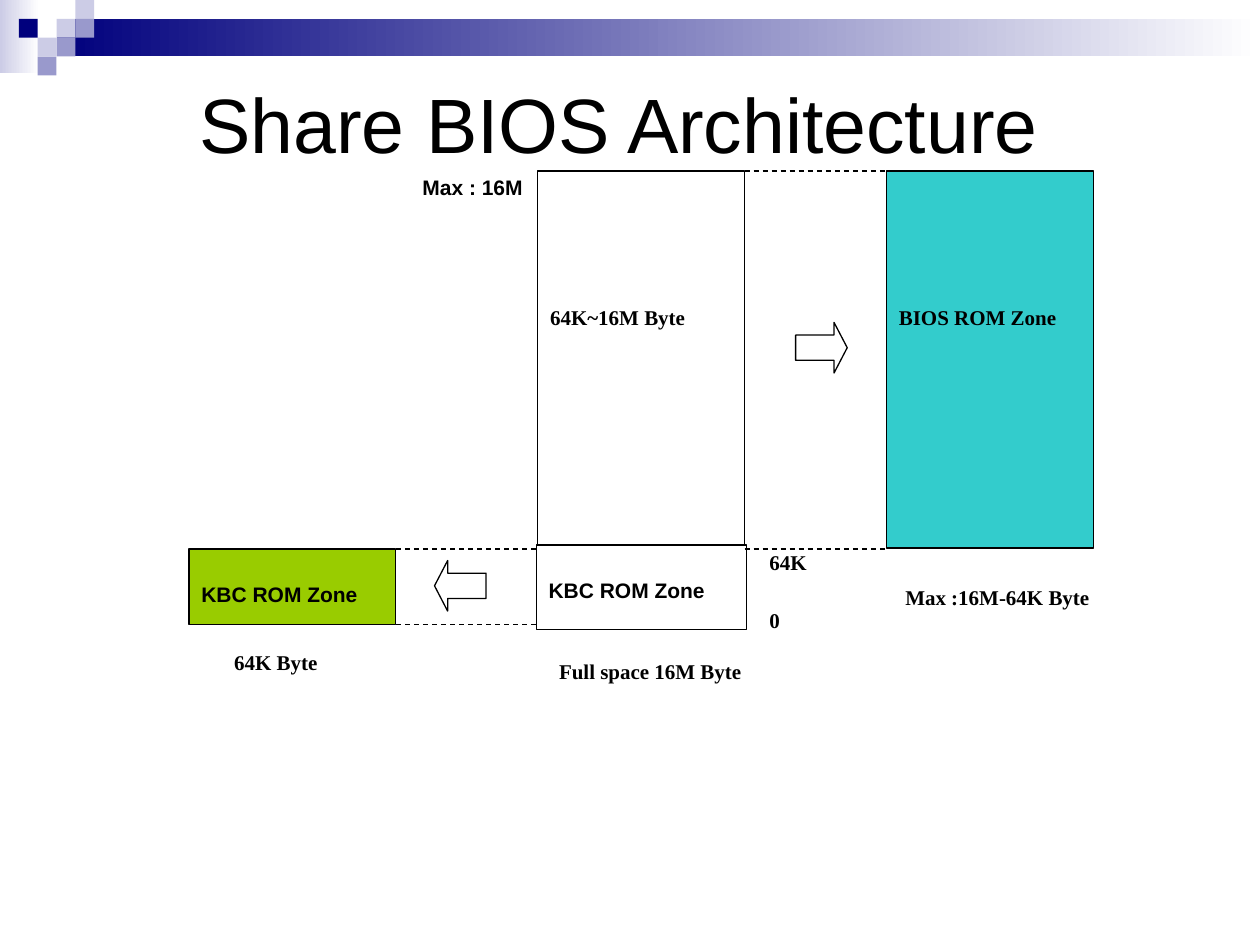
from pptx import Presentation
from pptx.dml.color import RGBColor
from pptx.enum.dml import MSO_LINE
from pptx.enum.shapes import MSO_CONNECTOR, MSO_SHAPE
from pptx.enum.text import MSO_ANCHOR, PP_ALIGN
from pptx.oxml.ns import qn
from pptx.util import Cm, Pt
from lxml import etree

BLACK, WHITE = "000000", "FFFFFF"
NAVY, VIOLET, LAVENDER = "00007D", "9999CC", "CCCCE6"
TEAL, GREEN = "33CCCC", "99CC00"
SANS, SERIF = "Arial", "Times New Roman"

COLUMN_WIDTH = 4.17
ROM_HEIGHT = 7.6
KBC_HEIGHT = 1.52
SPLIT = 7.62  # from the top of the map down to the 64K boundary
GAP = 2.86    # between the full space and the zone beside it


def color(hex_string):
    return RGBColor.from_string(hex_string)


def add_block(slide, x, y, w, h, fill, outlined=False, kind=MSO_SHAPE.RECTANGLE):
    block = slide.shapes.add_shape(kind, Cm(x), Cm(y), Cm(w), Cm(h))
    block.shadow.inherit = False
    block.fill.solid()
    block.fill.fore_color.rgb = color(fill)
    if outlined:
        block.line.color.rgb = color(BLACK)
        block.line.width = Pt(0.75)
    else:
        block.line.fill.background()
    return block


def write(block, words, font, size=12, bold=True, align=PP_ALIGN.LEFT, top=0.15):
    frame = block.text_frame
    frame.word_wrap = True
    frame.vertical_anchor = MSO_ANCHOR.TOP
    frame.margin_left = frame.margin_right = Cm(0.25)
    frame.margin_top, frame.margin_bottom = Cm(top), Cm(0.13)
    paragraph = frame.paragraphs[0]
    paragraph.alignment = align
    run = paragraph.add_run()
    run.text = words
    run.font.name = font
    run.font.size = Pt(size)
    run.font.bold = bold
    run.font.color.rgb = color(BLACK)


def add_label(slide, x, y, w, words, font=SERIF, align=PP_ALIGN.JUSTIFY):
    write(add_block(slide, x, y, w, 1.02, WHITE), words, font, align=align)


def add_boundary(slide, x, y):
    boundary = slide.shapes.add_connector(
        MSO_CONNECTOR.STRAIGHT, Cm(x), Cm(y), Cm(x + GAP), Cm(y))
    boundary.line.color.rgb = color(BLACK)
    boundary.line.width = Pt(0.75)
    boundary.line.dash_style = MSO_LINE.DASH
    etree.SubElement(boundary._element.spPr, qn("a:effectLst"))


def add_arrow(slide, x, y, kind):
    arrow = add_block(slide, x, y, 1.04, 1.02, WHITE, True, kind)
    arrow.adjustments[1] = 0.26


def draw_header(slide, x, y, w):
    cell = 0.38
    # Fading bands
    bands = [(0, 0, 0.79, 1.47, LAVENDER),
             (3 * cell, cell, w - 3 * cell, 2 * cell, NAVY)]
    for left, top, width, height, start in bands:
        band = add_block(slide, x + left, y + top, width, height, start)
        band.fill.gradient()
        band.fill.gradient_angle = 0
        for stop, shade in zip(band.fill.gradient_stops, (start, WHITE)):
            stop.color.rgb = color(shade)
    # Stepped squares, by column and row
    squares = [(3, 1, LAVENDER), (4, 0, LAVENDER), (4, 1, VIOLET),
               (2, 2, LAVENDER), (1, 1, NAVY), (3, 2, VIOLET), (2, 3, VIOLET)]
    for column, row, shade in squares:
        add_block(slide, x + column * cell, y + row * cell, cell, cell, shade)


def place_title(slide, x, y, w, h):
    title = slide.shapes.title
    title.left, title.top, title.width, title.height = Cm(x), Cm(y), Cm(w), Cm(h)
    write(title, "Share BIOS Architecture ", SANS, 44, False, PP_ALIGN.CENTER, 0.28)


def draw_full_space(slide, x, y):
    rom = add_block(slide, x, y, COLUMN_WIDTH, ROM_HEIGHT, WHITE, True)
    write(rom, "64K~16M Byte", SERIF, top=2.69)
    kbc = add_block(slide, x - 0.03, y + 7.54, 4.24, 1.7, WHITE, True)
    write(kbc, "KBC ROM Zone", SANS, top=0.65)
    # Addresses and total size
    add_label(slide, x + 4.42, y + 8.64, 2.08, "0")
    add_label(slide, x + 4.42, y + 7.47, 2.08, "64K")
    add_label(slide, x - 3.1, y - 0.08, 3.05, "Max : 16M", SANS, PP_ALIGN.RIGHT)
    add_label(slide, x + 0.18, y + 9.68, 5.46, "Full space 16M Byte")


def draw_bios_zone(slide, x, y):
    bios = add_block(slide, x, y, COLUMN_WIDTH, ROM_HEIGHT, TEAL, True)
    write(bios, "BIOS ROM Zone", SERIF, top=2.69)
    for edge in (0, SPLIT):
        add_boundary(slide, x - GAP, y + edge)
    add_arrow(slide, x - 1.83, y + 3.05, MSO_SHAPE.RIGHT_ARROW)
    add_label(slide, x + 0.13, y + 8.18, 5.46, "Max :16M-64K Byte")


def draw_kbc_zone(slide, x, y):
    kbc = add_block(slide, x, y, COLUMN_WIDTH, KBC_HEIGHT, GREEN, True)
    write(kbc, "KBC ROM Zone", SANS, top=0.65)
    for edge in (0, KBC_HEIGHT):
        add_boundary(slide, x + COLUMN_WIDTH, y + edge)
    add_arrow(slide, x + 4.95, y + 0.23, MSO_SHAPE.LEFT_ARROW)
    add_label(slide, x + 0.66, y + 1.88, 3.12, "64K Byte")


def main():
    deck = Presentation()
    deck.slide_width, deck.slide_height = Cm(25.4), Cm(19.05)
    slide = deck.slides.add_slide(deck.slide_layouts[5])
    draw_header(slide, 0, 0, 25.4)
    place_title(slide, 1.27, 1.27, 22.86, 3.81)
    # Memory map: three columns at equal steps
    left, top, step = 3.81, 3.45, COLUMN_WIDTH + GAP
    draw_full_space(slide, left + step, top)
    draw_bios_zone(slide, left + 2 * step, top)
    draw_kbc_zone(slide, left, top + SPLIT)
    deck.save("out.pptx")


if __name__ == "__main__":
    main()
